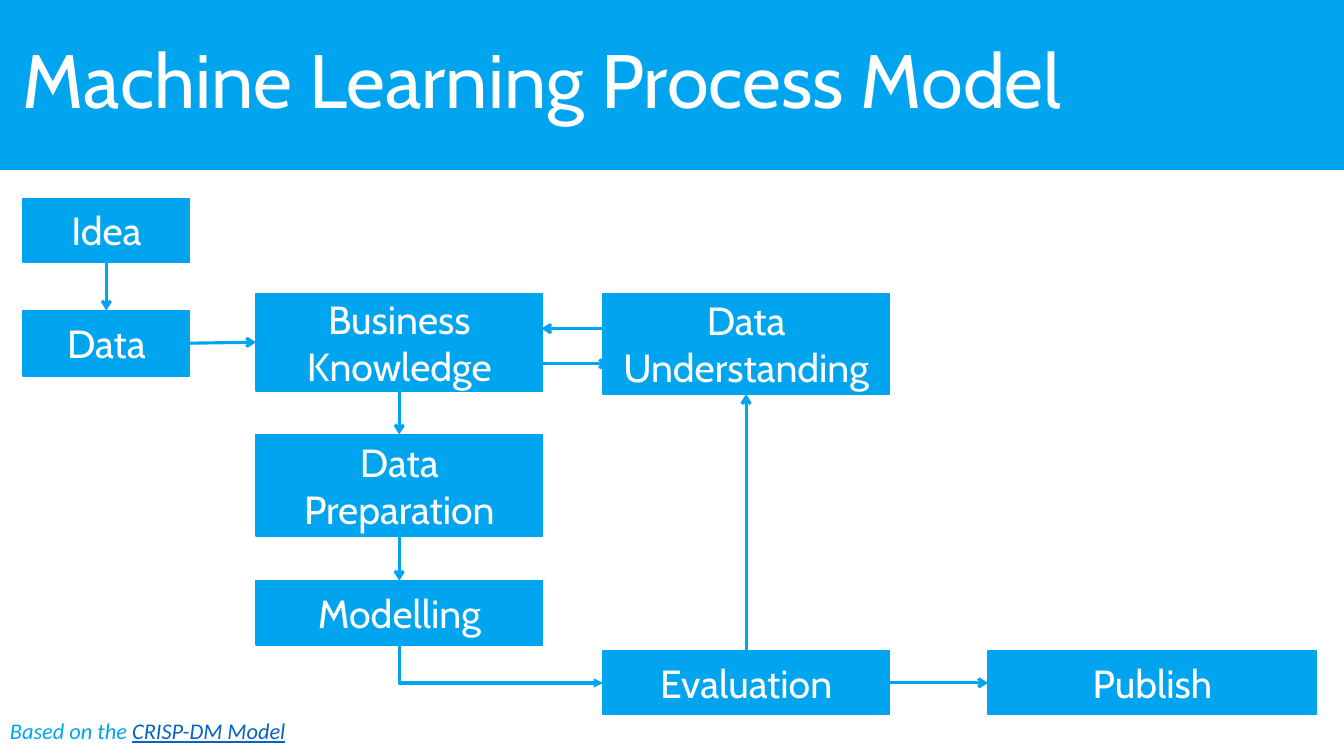
from dataclasses import dataclass
from enum import IntEnum

from lxml.etree import SubElement
from pptx import Presentation
from pptx.dml.color import RGBColor
from pptx.enum.shapes import MSO_CONNECTOR as Connector, MSO_SHAPE as Preset
from pptx.enum.text import MSO_ANCHOR as Anchor, PP_ALIGN as Align
from pptx.oxml.ns import qn
from pptx.util import Inches, Pt


@dataclass(frozen=True)
class Theme:
    blue: RGBColor = RGBColor(0x00, 0xA4, 0xEF)
    white: RGBColor = RGBColor(0xFF, 0xFF, 0xFF)
    link: RGBColor = RGBColor(0x05, 0x63, 0xC1)
    heading_font: str = "Cabin"
    note_font: str = "Calibri"
    title_size: int = 54
    step_size: int = 28
    note_size: int = 16
    outline: float = 1
    arrow: float = 2.25


class Side(IntEnum):
    """Connection sites of a rectangle."""
    TOP = 0
    LEFT = 1
    BOTTOM = 2
    RIGHT = 3


@dataclass(frozen=True)
class Step:
    name: str
    left: float
    top: float
    width: float
    height: float


@dataclass(frozen=True)
class Flow:
    source: str
    source_side: Side
    target: str
    target_side: Side


THEME = Theme()
IDEA_LEFT, BUSINESS_LEFT, UNDERSTANDING_LEFT = 0.23, 2.54, 5.98
IDEA_WIDTH, STEP_WIDTH = 1.65, 2.84

STEPS = (
    Step("Business Knowledge", BUSINESS_LEFT, 2.91, STEP_WIDTH, 0.97),
    Step("Data Preparation", BUSINESS_LEFT, 4.31, STEP_WIDTH, 1.01),
    Step("Modelling", BUSINESS_LEFT, 5.76, STEP_WIDTH, 0.64),
    Step("Evaluation", UNDERSTANDING_LEFT, 6.46, STEP_WIDTH, 0.63),
    Step("Data Understanding", UNDERSTANDING_LEFT, 2.91, STEP_WIDTH, 1),
    Step("Idea", IDEA_LEFT, 1.97, IDEA_WIDTH, 0.63),
    Step("Data", IDEA_LEFT, 3.08, IDEA_WIDTH, 0.65),
    Step("Publish", 9.8, 6.46, 3.26, 0.63),
)
FLOWS = (
    Flow("Idea", Side.BOTTOM, "Data", Side.TOP),
    Flow("Data", Side.RIGHT, "Business Knowledge", Side.LEFT),
    Flow("Business Knowledge", Side.BOTTOM, "Data Preparation", Side.TOP),
    Flow("Data Preparation", Side.BOTTOM, "Modelling", Side.TOP),
    Flow("Evaluation", Side.RIGHT, "Publish", Side.LEFT),
    Flow("Evaluation", Side.TOP, "Data Understanding", Side.BOTTOM),
)
ELBOW = Flow("Modelling", Side.BOTTOM, "Evaluation", Side.LEFT)
# Start x, end x and height of the two-way exchange.
EXCHANGE = ((5.38, 6.04, 3.61), (5.98, 5.37, 3.26))


def add_text(para, text: str, *, size: float, color: RGBColor,
             font: str = THEME.heading_font, italic: bool = False,
             underline: bool = False) -> None:
    span = para.add_run()
    span.text = text
    span.font.name = font
    span.font.size = Pt(size)
    span.font.color.rgb = color
    span.font.italic = italic
    span.font.underline = underline


def add_box(page, left: float, top: float, width: float, height: float):
    box = page.shapes.add_shape(Preset.RECTANGLE, Inches(left), Inches(top),
                                Inches(width), Inches(height))
    box.shadow.inherit = False
    box.fill.solid()
    box.fill.fore_color.rgb = THEME.blue
    box.line.color.rgb = THEME.blue
    box.line.width = Pt(THEME.outline)
    return box


def add_step(page, step: Step):
    box = add_box(page, step.left, step.top, step.width, step.height)
    frame = box.text_frame
    frame.word_wrap = True
    frame.vertical_anchor = Anchor.MIDDLE
    para = frame.paragraphs[0]
    para.alignment = Align.CENTER
    add_text(para, step.name, size=THEME.step_size, color=THEME.white)
    return box


def add_arrow(page, start: tuple[float, float] = (0, 0),
              end: tuple[float, float] = (0, 0),
              kind: Connector = Connector.STRAIGHT, head: str = "arrow"):
    arrow = page.shapes.add_connector(kind, *map(Inches, start + end))
    arrow.line.color.rgb = THEME.blue
    arrow.line.width = Pt(THEME.arrow)
    SubElement(arrow.line._get_or_add_ln(), qn("a:tailEnd"), type=head)
    SubElement(arrow.element.spPr, qn("a:effectLst"))
    return arrow


def glue(arrow, flow: Flow, boxes: dict) -> None:
    arrow.begin_connect(boxes[flow.source], flow.source_side)
    arrow.end_connect(boxes[flow.target], flow.target_side)


def add_elbow(page, flow: Flow, boxes: dict) -> None:
    """Draw a one-bend arrow that runs down, then right."""
    arrow = add_arrow(page, kind=Connector.ELBOW, head="triangle")
    glue(arrow, flow, boxes)
    shape_properties = arrow.element.spPr
    shape_properties.find(qn("a:prstGeom")).set("prst", "bentConnector2")
    frame = shape_properties.find(qn("a:xfrm"))
    frame.set("rot", str(270 * 60000))
    frame.set("flipH", "1")
    # The frame is stored unrotated, so its sides swap around the centre.
    width, height = arrow.width, arrow.height
    arrow.left += (width - height) // 2
    arrow.top += (height - width) // 2
    arrow.width, arrow.height = height, width


def add_text_box(page, left: float, top: float, width: float, height: float,
                 anchor: Anchor):
    """Add a wrapping text box and return its first paragraph."""
    frame = page.shapes.add_textbox(Inches(left), Inches(top), Inches(width),
                                    Inches(height)).text_frame
    frame.word_wrap = True
    frame.vertical_anchor = anchor
    return frame.paragraphs[0]


def main() -> None:
    deck = Presentation()
    deck.slide_width, deck.slide_height = Inches(13.33), Inches(7.5)
    page = deck.slides.add_slide(deck.slide_layouts[6])

    add_box(page, 0, 0, 13.33, 1.68)
    title = add_text_box(page, 0.13, 0.11, 11.5, 1.45, Anchor.MIDDLE)
    title.line_spacing = 0.9
    add_text(title, "Machine Learning Process Model",
             size=THEME.title_size, color=THEME.white)

    boxes = {step.name: add_step(page, step) for step in STEPS}
    for flow in FLOWS:
        glue(add_arrow(page), flow, boxes)
    add_elbow(page, ELBOW, boxes)
    for start, end, height in EXCHANGE:
        add_arrow(page, (start, height), (end, height))

    note = add_text_box(page, 0, 7.07, 3.02, 0.37, Anchor.TOP)
    add_text(note, "Based on the ", size=THEME.note_size, color=THEME.blue,
             font=THEME.note_font, italic=True)
    add_text(note, "CRISP-DM Model", size=THEME.note_size, color=THEME.link,
             font=THEME.note_font, italic=True, underline=True)
    deck.save("out.pptx")


if __name__ == "__main__":
    main()
